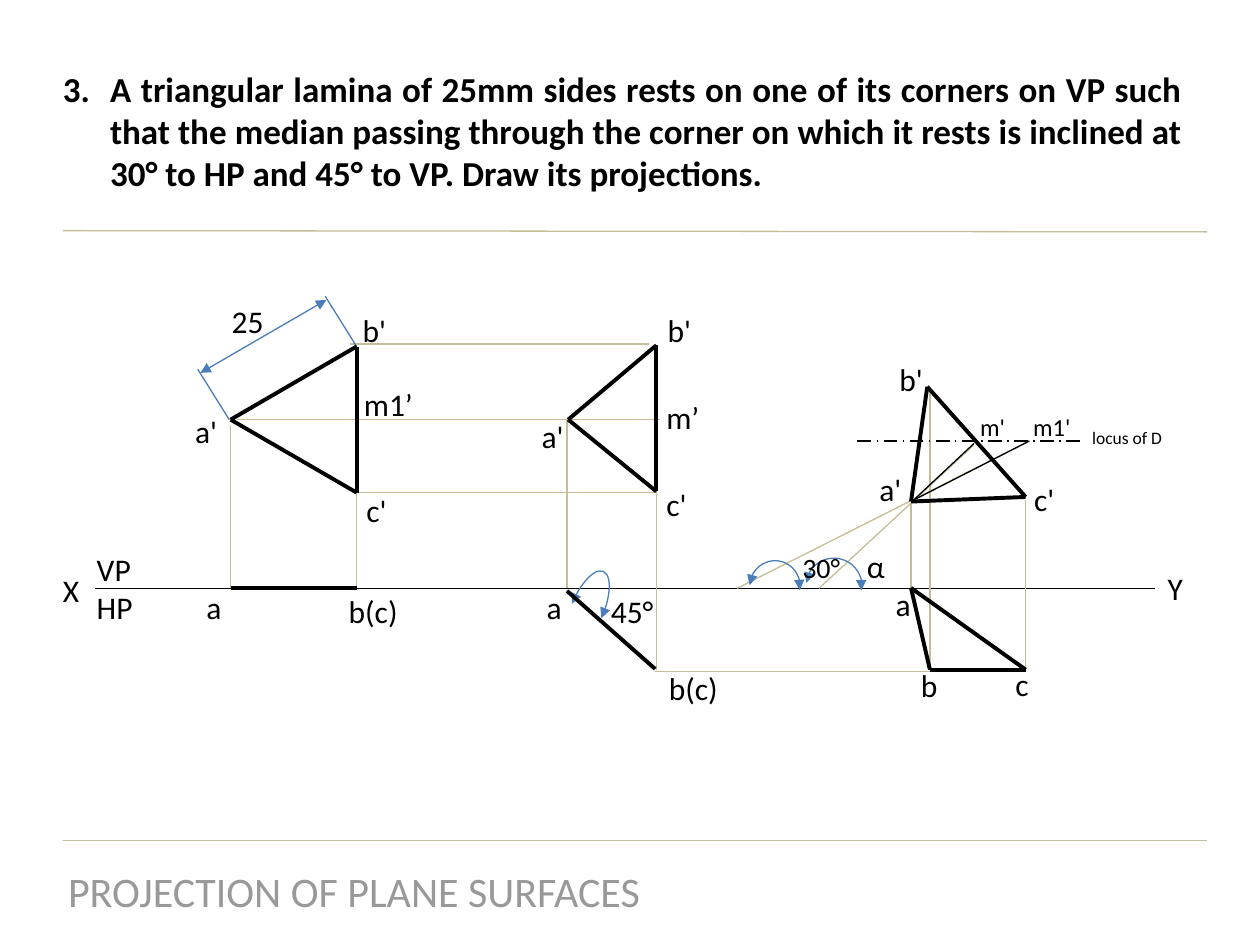
"""Build a slide on the projections of an inclined triangular lamina."""
from typing import NamedTuple

from lxml import etree
from pptx import Presentation
from pptx.dml.color import RGBColor
from pptx.enum.dml import MSO_LINE
from pptx.enum.shapes import MSO_CONNECTOR, MSO_SHAPE
from pptx.enum.text import PP_ALIGN
from pptx.oxml.ns import qn
from pptx.util import Pt

STRAIGHT = MSO_CONNECTOR.STRAIGHT
ARC = MSO_SHAPE.ARC
LONG_DASH_DOT = MSO_LINE.LONG_DASH_DOT
LEFT, CENTER, JUSTIFY = PP_ALIGN.LEFT, PP_ALIGN.CENTER, PP_ALIGN.JUSTIFY
COLORS = {"text": "000000", "projector": "C4BD97", "dimension": "4A7DBB", "footer": "999999"}
FONT = "Calibri"


class Segment(NamedTuple):
    x1: float
    y1: float
    x2: float
    y2: float
    color: str = "projector"
    width: float = 0.75
    dash: MSO_LINE | None = None
    arrows: bool = False


class AngleArc(NamedTuple):
    left: float
    top: float
    width: float
    height: float
    rotation: float
    start: float
    end: float


class Label(NamedTuple):
    text: str
    left: float
    top: float
    width: float
    size: float = 18
    height: float = 29


THIN_LINES = [
    Segment(36, 480.2, 689.8, 480.2),
    Segment(36, 131.8, 689.8, 132.5),
    Segment(54, 336.2, 660.2, 336.2, "text"),
    Segment(131.8, 336.2, 131.8, 242.6),
    Segment(203.8, 336.2, 203.8, 281.5),
    Segment(135.4, 239.8, 377.3, 239.8),
    Segment(200.2, 196.6, 370.8, 196.6),
    Segment(204.5, 281.5, 375.1, 281.5),
    Segment(324, 336.2, 324, 239.8),
    Segment(375.1, 383, 375.1, 264.2),
    Segment(374.4, 383.8, 586.1, 383.8),
    Segment(586.1, 382.3, 586.1, 285.8),
    Segment(531.4, 383, 531.4, 221.8),
    Segment(520.6, 337.7, 520.6, 288),
    Segment(556.6, 254.2, 468, 336.2),
    Segment(421.2, 336.2, 588.2, 252),
    Segment(556.6, 253.4, 522, 285.8, "text"),
    Segment(588.2, 252, 522, 285.8, "text"),
    Segment(617, 252, 488.9, 252, "text", 1, LONG_DASH_DOT),
    Segment(203.8, 198, 185.8, 169.2, "dimension"),
    Segment(131, 239.8, 113, 211, "dimension"),
    Segment(186.5, 171.4, 114.5, 213.1, "dimension", arrows=True),
]
OUTLINES = [
    [(131.8, 239.8), (203.8, 198), (203.8, 281.5), (131.8, 239.8)],
    [(324.7, 239.8), (375.1, 197.3), (375.1, 280.8), (324.7, 239.8)],
    [(520.6, 286.6), (529.9, 221), (586.1, 284), (520.6, 286.6)],
    [(520.6, 336), (531.4, 382.7), (586.1, 382.7), (520.6, 336)],
    [(131.8, 336.2), (203.8, 336.2)],
    [(324, 337.7), (374.4, 382.3)],
]
ARCS = [
    AngleArc(326.2, 324.7, 18.7, 47.5, 22.8, 178.21, 7.9),
    AngleArc(460.8, 319, 31.7, 31, 10.6, 174.47, 0),
    AngleArc(428.4, 320.4, 28.8, 29.5, 8.5, 174.47, 0),
]
LABELS = [
    Label("X", 28.8, 322.6, 25),
    Label("Y", 660.2, 321.8, 25),
    Label("VP\nHP", 48.2, 311, 37, height=51),
    Label("25", 125.3, 169.2, 35),
    Label("a'", 104.4, 231.8, 29),
    Label("b'", 200.2, 174.2, 30),
    Label("c'", 202.3, 277.2, 35),
    Label("m1’", 200.9, 216.7, 56, height=33),
    Label("a", 110.9, 332.6, 25),
    Label("b(c)", 192.2, 334.8, 45),
    Label("a'", 302.4, 234.7, 29),
    Label("b'", 374.4, 174.2, 30),
    Label("c'", 373.7, 273.6, 35),
    Label("m’", 373.7, 223.9, 46),
    Label("a", 305.3, 332.6, 25),
    Label("b(c)", 375.1, 378.7, 45),
    Label("45°", 342, 334.8, 42),
    Label("a'", 495.4, 265, 29),
    Label("b'", 506.9, 202.3, 30),
    Label("c'", 583.9, 270.7, 28),
    Label("a", 504.7, 330.5, 25),
    Label("b", 519.1, 377.3, 25),
    Label("c", 573.1, 376.6, 25),
    Label("α", 488.2, 308.9, 27),
    Label("30°", 451.4, 311, 38, 16, 27),
    Label("m1'", 583.2, 231.8, 43, 14, 24),
    Label("m'", 553, 231.8, 31, 14, 24),
    Label("locus of D", 617, 240.5, 57, 10, 19),
]


def format_line(line, color: str, width: float, dash=None, arrows: bool = False) -> None:
    """Apply colour, width, dash and arrowheads to a line."""
    line.color.rgb = RGBColor.from_string(COLORS[color])
    line.width = Pt(width)
    if dash is not None:
        line.dash_style = dash
    if arrows:
        for end in ("a:headEnd", "a:tailEnd"):
            etree.SubElement(line._get_or_add_ln(), qn(end), type="triangle")


def draw_segment(slide, segment: Segment) -> None:
    """Draw a straight line without a shadow."""
    ends = [Pt(value) for value in segment[:4]]
    connector = slide.shapes.add_connector(STRAIGHT, *ends)
    format_line(connector.line, *segment[4:])
    etree.SubElement(connector._element.spPr, qn("a:effectLst"))


def draw_outline(slide, points: list[tuple[float, float]]) -> None:
    """Join successive points with bold lines."""
    for start, end in zip(points, points[1:]):
        draw_segment(slide, Segment(*start, *end, "text", 2.25))


def draw_arc(slide, arc: AngleArc) -> None:
    """Draw an angle mark with an arrowhead at each end."""
    shape = slide.shapes.add_shape(ARC, *[Pt(value) for value in arc[:4]])
    shape.rotation = arc.rotation
    for index, degrees in enumerate((arc.start, arc.end)):
        shape.adjustments[index] = degrees * 0.6
    shape.shadow.inherit = False
    shape.fill.background()
    format_line(shape.line, "dimension", 0.75, arrows=True)


def add_text(slide, text: str, *, left: float, top: float, width: float, height: float,
             size: float, color: str = "text", bold: bool = False,
             alignment: PP_ALIGN = LEFT, number: int | None = None) -> None:
    """Add a text box, numbering its paragraphs if a start is given."""
    shape = slide.shapes.add_textbox(Pt(left), Pt(top), Pt(width), Pt(height))
    frame = shape.text_frame
    frame.word_wrap = True
    frame.text = text
    for paragraph in frame.paragraphs:
        paragraph.alignment = alignment
        if number is not None:
            properties = paragraph._p.get_or_add_pPr()
            properties.set("marL", str(Pt(27)))
            properties.set("indent", str(-Pt(27)))
            etree.SubElement(properties, qn("a:buFont"), typeface="+mj-lt")
            etree.SubElement(properties, qn("a:buAutoNum"), type="arabicPeriod", startAt=str(number))
        for run in paragraph.runs:
            run.font.name = FONT
            run.font.size = Pt(size)
            run.font.bold = bold
            run.font.color.rgb = RGBColor.from_string(COLORS[color])


def main() -> None:
    """Draw the slide and save it."""
    presentation = Presentation()
    presentation.slide_width, presentation.slide_height = Pt(720), Pt(540)
    slide = presentation.slides.add_slide(presentation.slide_layouts[6])
    for segment in THIN_LINES:
        draw_segment(slide, segment)
    for arc in ARCS:
        draw_arc(slide, arc)
    for points in OUTLINES:
        draw_outline(slide, points)
    for label in LABELS:
        add_text(slide, **label._asdict())
    add_text(slide, "A triangular lamina of 25mm sides rests on one of its corners on VP such that "
             "the median passing through the corner on which it rests is inclined at 30° to HP "
             "and 45° to VP. Draw its projections.", left=28.8, top=35.3, width=653.8, height=80,
             size=20, bold=True, alignment=JUSTIFY, number=3)
    add_text(slide, "PROJECTION OF PLANE SURFACES", left=30.2, top=491, width=344.2, height=36,
             size=24, color="footer", alignment=CENTER)
    presentation.save("out.pptx")


if __name__ == "__main__":
    main()
